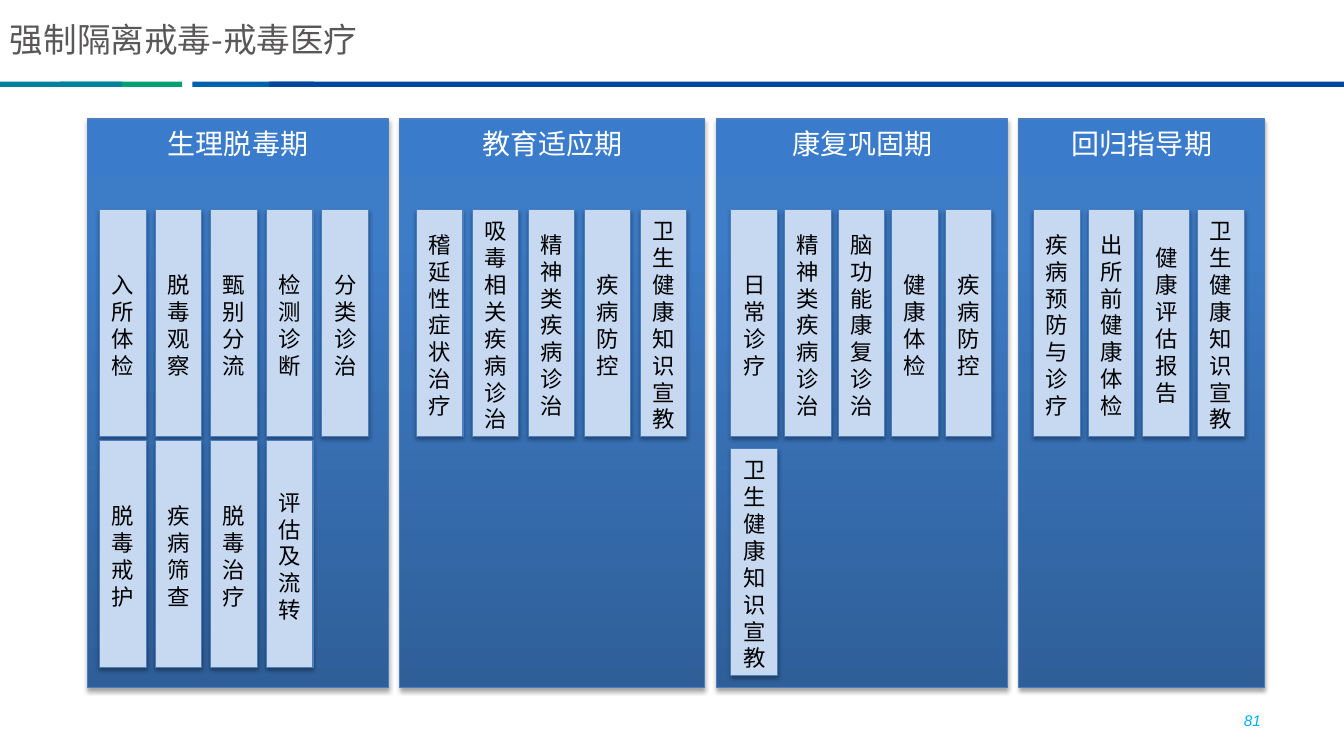
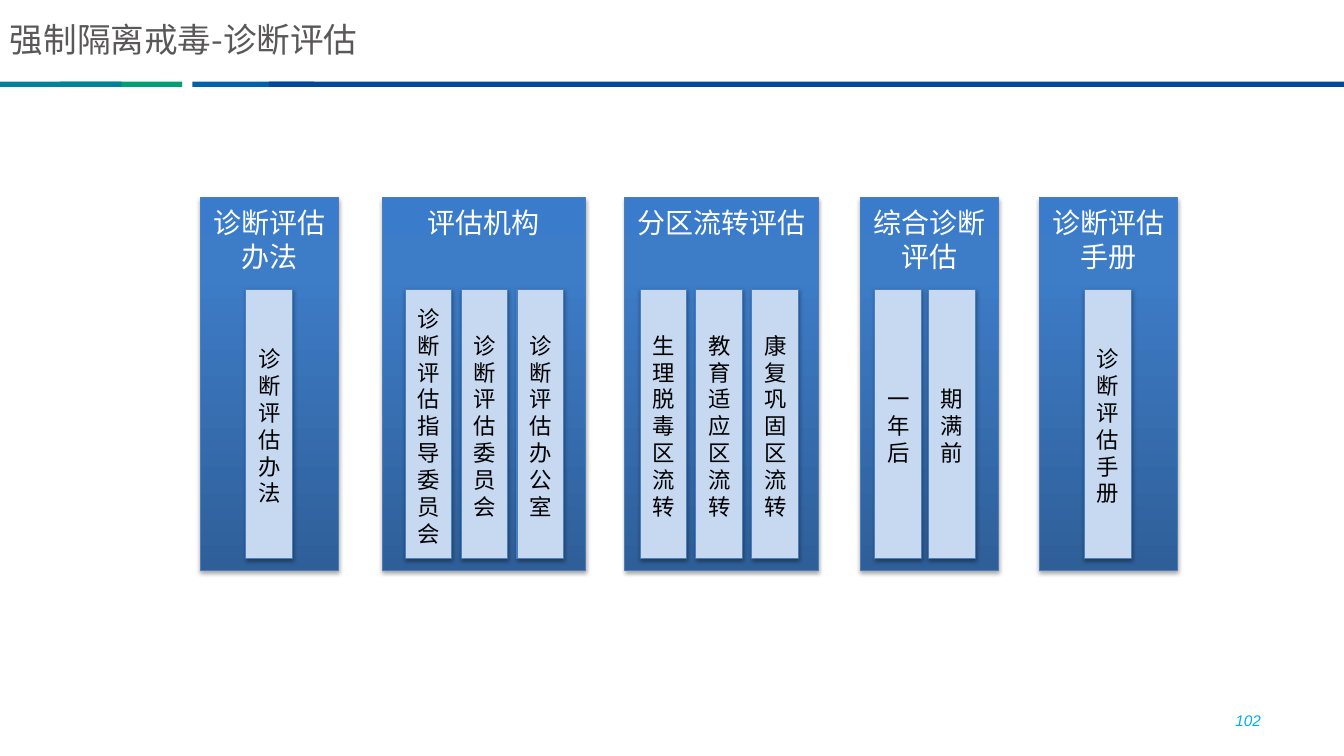
from dataclasses import dataclass
from copy import deepcopy
from typing import Any

import lxml.etree
import pptx
import pptx.dml.color
import pptx.enum.shapes
import pptx.enum.text
import pptx.oxml.ns
import pptx.util

Cm = pptx.util.Cm
Pt = pptx.util.Pt
qn = pptx.oxml.ns.qn
ALIGN = pptx.enum.text.PP_ALIGN
ANCHOR = pptx.enum.text.MSO_ANCHOR


# Theme: colours, fonts and type sizes
@dataclass(frozen=True)
class Theme:
    han: str = "Noto Sans CJK SC"
    latin: str = "Arial"
    title: str = "595757"
    page: str = "00B0F0"
    head: str = "FFFFFF"
    ink: str = "000000"
    chip: str = "C6D9F1"
    edge: str = "4B7EBC"
    fade: tuple = ((0, "2F5F99"), (0.8, "3D7CC7"), (1, "3A7CCB"))
    big: int = 24
    mid: int = 20
    text: int = 16
    small: int = 11
    lead: float = 1.2


THEME = Theme()


# Records, all lengths in centimetres
@dataclass(frozen=True)
class Box:
    left: float
    top: float
    width: float
    height: float


@dataclass(frozen=True)
class Bar:
    box: Box
    fill: str


@dataclass(frozen=True)
class Panel:
    head: str
    left: float
    width: float
    start: float  # left edge of the first chip
    rows: tuple[str, ...]  # chip labels, one string per row
    step: float = 1.41
    next: float = 0  # top of the second row


@dataclass(frozen=True)
class Page:
    title: str
    number: str
    top: float
    height: float
    line: float  # top of the first chip row
    tall: float  # chip height
    panels: tuple[Panel, ...]


CHIP = 1.18
BARS = (
    Bar(Box(1.52, 2.06, 3.07, 0.13), "00A073"),
    Bar(Box(4.85, 2.06, 3.07, 0.13), "0062AD"),
    Bar(Box(6.78, 2.06, 27.09, 0.13), "00479D"),
    Bar(Box(0, 2.06, 3.07, 0.13), "00819C"),
)

PAGES = (
    Page("强制隔离戒毒-戒毒医疗", "81", 3, 14.33, 5.28, 5.72, (
        Panel("生理脱毒期", 2.2, 7.6, 2.51,
              ("入所体检 脱毒观察 甄别分流 检测诊断 分类诊治",
               "脱毒戒护 疾病筛查 脱毒治疗 评估及流转"), 1.4, 11.1),
        Panel("教育适应期", 10.08, 7.67, 10.49,
              ("稽延性症状治疗 吸毒相关疾病诊治 精神类疾病诊治 疾病防控 卫生健康知识宣教",)),
        Panel("康复巩固期", 18.06, 7.34, 18.42,
              ("日常诊疗 精神类疾病诊治 脑功能康复诊治 健康体检 疾病防控",
               "卫生健康知识宣教"), 1.35, 11.3),
        Panel("回归指导期", 25.68, 6.2, 26.04,
              ("疾病预防与诊疗 出所前健康体检 健康评估报告 卫生健康知识宣教",), 1.38),
    )),
    Page("强制隔离戒毒-诊断评估", "102", 4.98, 9.4, 7.29, 6.78, (
        Panel("诊断评估办法", 5.05, 3.48, 6.2, ("诊断评估办法",)),
        Panel("评估机构", 9.63, 5.13, 10.21,
              ("诊断评估指导委员会 诊断评估委员会 诊断评估办公室",)),
        Panel("分区流转评估", 15.75, 4.88, 16.13,
              ("生理脱毒区流转 教育适应区流转 康复巩固区流转",)),
        Panel("综合诊断评估", 21.69, 3.48, 22.05, ("一年后 期满前",), 1.35),
        Panel("诊断评估手册", 26.19, 3.48, 27.33, ("诊断评估手册",)),
    )),
)


# Helpers
def rgb(code: str) -> Any:
    return pptx.dml.color.RGBColor.from_string(code)


def put(item: Any, vals: dict[str, Any]) -> None:
    for key, val in vals.items():
        setattr(item, key, val)


def place(box: Box) -> tuple:
    return Cm(box.left), Cm(box.top), Cm(box.width), Cm(box.height)


def write(shape: Any, text: str, font: dict[str, Any], color: str,
          frame: dict[str, Any], para: dict[str, Any]) -> None:
    body = shape.text_frame
    put(body, {"word_wrap": True, **frame})
    line = body.paragraphs[0]
    put(line, para)
    run = line.add_run()
    run.text = text
    put(run.font, font)
    run.font.color.rgb = rgb(color)
    east = lxml.etree.SubElement(run.font._element, qn("a:ea"))
    east.set("typeface", font["name"])


def rect(slide: Any, box: Box) -> Any:
    shape = slide.shapes.add_shape(
        pptx.enum.shapes.MSO_SHAPE.RECTANGLE, *place(box))
    shape.shadow.inherit = False
    return shape


def flat(shape: Any, color: str) -> None:
    shape.fill.solid()
    shape.fill.fore_color.rgb = rgb(color)


def fade(shape: Any) -> None:
    fill = shape.fill
    fill.gradient()
    fill.gradient_angle = 90
    stops = shape._element.spPr.find(".//" + qn("a:gsLst"))
    stops.append(deepcopy(stops[0]))
    for stop, (pos, color) in zip(fill.gradient_stops, THEME.fade):
        stop.position = pos
        stop.color.rgb = rgb(color)


def trim(shape: Any) -> None:
    """Thin edge and soft shadow below."""
    shape.line.color.rgb = rgb(THEME.edge)
    shape.line.width = Pt(0.75)
    glow = shape._element.spPr.find(qn("a:effectLst"))
    cast = lxml.etree.SubElement(
        glow, qn("a:outerShdw"), blurRad=str(Pt(3.1)), dist=str(Pt(1.8)),
        dir="5400000", rotWithShape="0")
    tint = lxml.etree.SubElement(cast, qn("a:srgbClr"), val="000000")
    lxml.etree.SubElement(tint, qn("a:alpha"), val="35000")


def label(shape: Any, text: str, size: int, color: str,
          frame: dict[str, Any]) -> None:
    write(shape, text, {"name": THEME.han, "size": Pt(size)}, color, frame,
          {"alignment": ALIGN.CENTER, "line_spacing": Pt(size * THEME.lead)})


# Parts of a slide
def base(slide: Any, page: Page) -> None:
    for bar in BARS:
        shape = rect(slide, bar.box)
        flat(shape, bar.fill)
        shape.line.fill.background()
    mid = {"vertical_anchor": ANCHOR.MIDDLE}
    title = slide.shapes.add_textbox(*place(Box(0, 0.3, 15.19, 1.37)))
    write(title, page.title, {"name": THEME.han, "size": Pt(THEME.big)},
          THEME.title, mid, {"alignment": ALIGN.LEFT})
    foot = slide.shapes.add_textbox(*place(Box(24.13, 17.65, 7.9, 1.02)))
    write(foot, page.number,
          {"name": THEME.latin, "size": Pt(THEME.small), "italic": True},
          THEME.page, mid, {"alignment": ALIGN.RIGHT})


def chip(slide: Any, box: Box, text: str) -> None:
    shape = rect(slide, box)
    flat(shape, THEME.chip)
    trim(shape)
    label(shape, text, THEME.text, THEME.ink,
          {"vertical_anchor": ANCHOR.MIDDLE,
           "margin_top": Cm(0.18), "margin_bottom": Cm(0.08)})


def group(slide: Any, page: Page, panel: Panel) -> None:
    shape = rect(slide, Box(panel.left, page.top, panel.width, page.height))
    fade(shape)
    trim(shape)
    label(shape, panel.head, THEME.mid, THEME.head,
          {"vertical_anchor": ANCHOR.TOP, "margin_top": Cm(0.2)})
    for top, row in zip((page.line, panel.next), panel.rows):
        for col, text in enumerate(row.split()):
            left = panel.start + col * panel.step
            chip(slide, Box(left, top, CHIP, page.tall), text)


def main() -> None:
    deck = pptx.Presentation()
    put(deck, {"slide_width": Cm(33.87), "slide_height": Cm(19.05)})
    for page in PAGES:
        slide = deck.slides.add_slide(deck.slide_layouts[6])
        base(slide, page)
        for panel in page.panels:
            group(slide, page, panel)
    deck.save("out.pptx")


if __name__ == "__main__":
    main()
